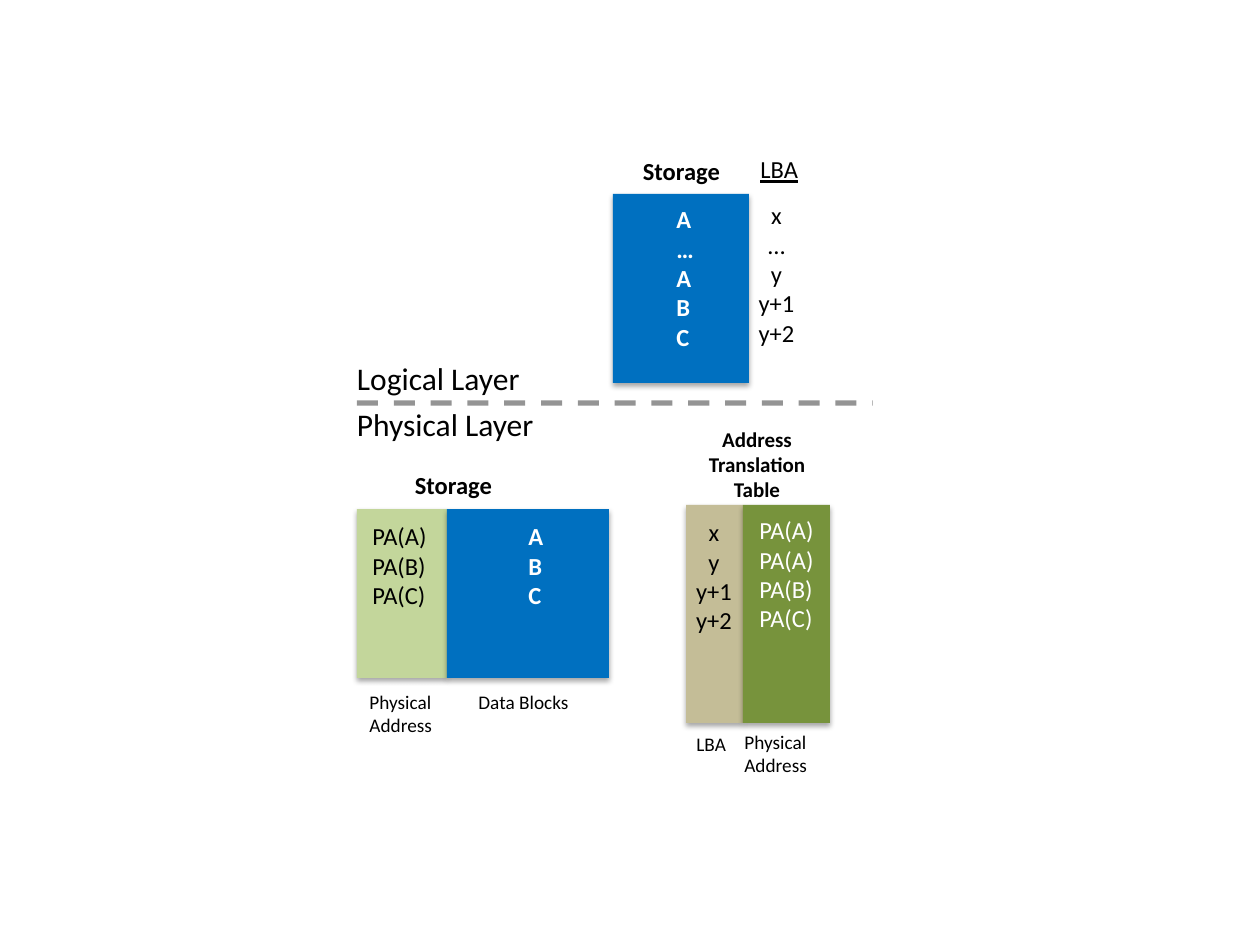
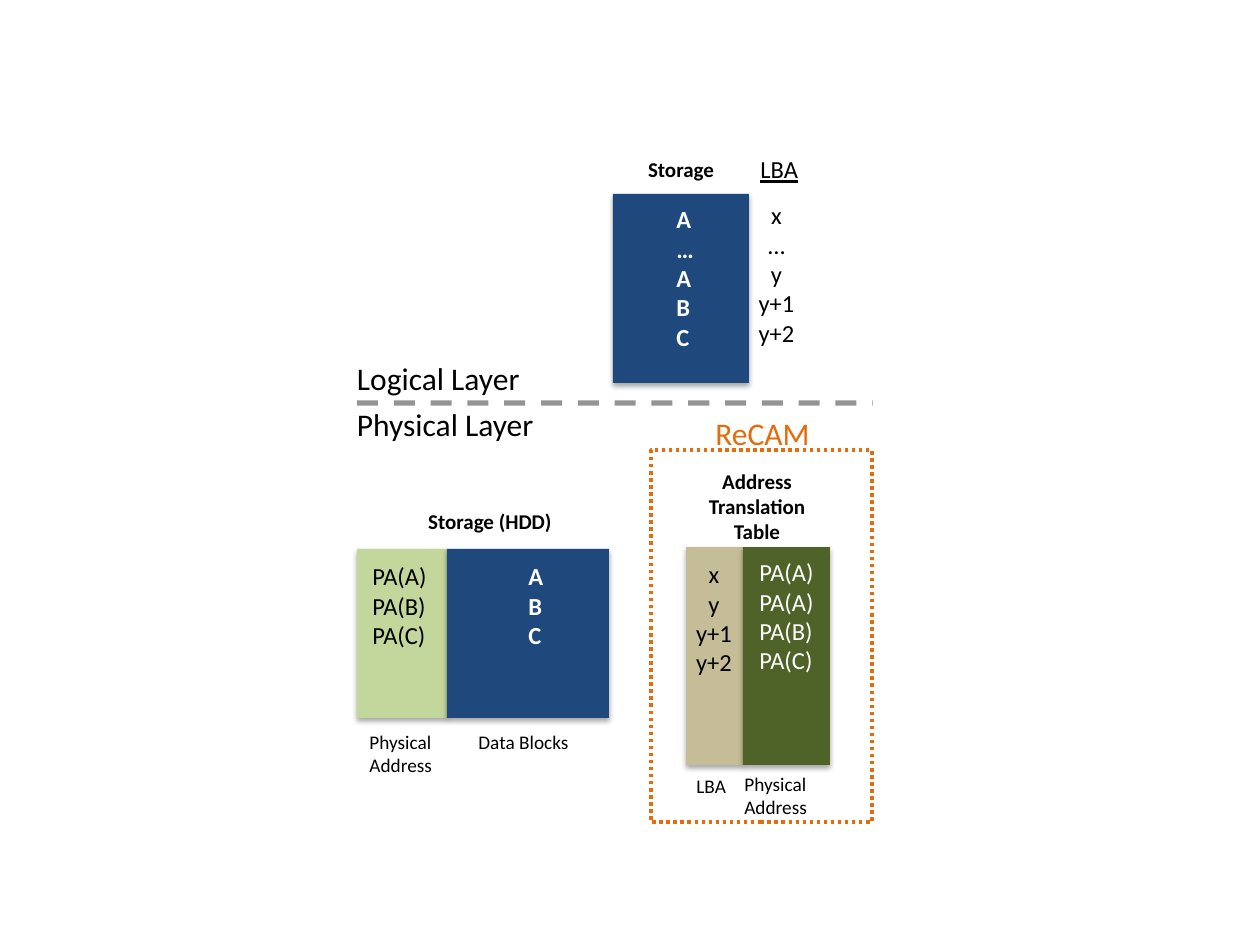
from collections import namedtuple
from lxml import etree
from pptx import Presentation
from pptx.dml.color import RGBColor
from pptx.enum.dml import MSO_LINE_DASH_STYLE as Dash
from pptx.enum.shapes import MSO_CONNECTOR as Connector, MSO_SHAPE as Preset
from pptx.enum.text import MSO_AUTO_SIZE as AutoSize, PP_ALIGN as Align
from pptx.oxml.ns import qn
from pptx.util import Pt

SCALE = 914400 / 126
FONT = "Calibri"
BLACK = RGBColor(0x00, 0x00, 0x00)
WHITE = RGBColor(0xFF, 0xFF, 0xFF)
BLUE = RGBColor(0x00, 0x70, 0xC0)
NAVY = RGBColor(0x1F, 0x49, 0x7D)
LIGHT_GREEN = RGBColor(0xC3, 0xD6, 0x9B)
GREEN = RGBColor(0x77, 0x93, 0x3C)
DARK_GREEN = RGBColor(0x4F, 0x62, 0x28)
TAN = RGBColor(0xC4, 0xBD, 0x97)
ORANGE = RGBColor(0xE4, 0x6C, 0x0A)

Box = namedtuple("Box", "left top width height")
Heading = namedtuple("Heading", "text left top width height size")


def px(length):
    return round(length * SCALE)


def add_text(slide, left, top, width, height, lines, size, color=BLACK, bold=False,
             underline=False, align=Align.LEFT, wrap=False, left_inset=None):
    shape = slide.shapes.add_textbox(*map(px, (left, top, width, height)))
    text_frame = shape.text_frame
    text_frame.word_wrap = wrap
    text_frame.auto_size = AutoSize.SHAPE_TO_FIT_TEXT
    if left_inset is not None:
        text_frame.margin_left = px(left_inset)
    text_frame.text = "\n".join(lines)
    for paragraph in text_frame.paragraphs:
        paragraph.alignment = align
        for run in paragraph.runs:
            font = run.font
            font.name, font.size, font.bold = FONT, Pt(size), bold
            font.underline = underline
            font.color.rgb = color


def add_heading(slide, box, heading):
    add_text(slide, box.left + heading.left, box.top + heading.top, heading.width,
             heading.height, heading.text.split("\n"), heading.size, bold=True,
             align=Align.CENTER)


def add_address_caption(slide, left, top):
    add_text(slide, left, top, 100, 59, ["Physical", "Address"], 11, wrap=True)


def add_block(slide, left, top, width, height, color):
    shape = slide.shapes.add_shape(Preset.RECTANGLE, *map(px, (left, top, width, height)))
    shape.shadow.inherit = False
    shape.fill.solid()
    shape.fill.fore_color.rgb = color
    shape.line.fill.background()
    effects = shape._element.spPr.find(qn("a:effectLst"))
    shadow = etree.SubElement(effects, qn("a:outerShdw"), blurRad="40000", dist="23000",
                              dir="5400000", rotWithShape="0")
    shadow_color = etree.SubElement(shadow, qn("a:srgbClr"), val=str(BLACK))
    etree.SubElement(shadow_color, qn("a:alpha"), val="35000")


def add_layer_divider(slide, box):
    line = slide.shapes.add_connector(
        Connector.STRAIGHT, px(box.left), px(box.top), px(box.left + box.width), px(box.top))
    line.line.width = Pt(3)
    line.line.dash_style = Dash.DASH
    line.line.color.rgb = BLACK
    properties = line._element.spPr
    etree.SubElement(properties.find(".//" + qn("a:srgbClr")), qn("a:alpha"), val="42000")
    etree.SubElement(properties, qn("a:effectLst"))
    add_text(slide, box.left, box.top - 50, 200, 50, ["Logical Layer"], 18,
             wrap=True, left_inset=0)
    add_text(slide, box.left, box.top - 4, 212, 50, ["Physical Layer"], 18,
             wrap=True, left_inset=0)


def add_logical_storage(slide, box, color, heading):
    left, top = box.left, box.top
    add_block(slide, *box, color)
    add_heading(slide, box, heading)
    add_text(slide, left + 51, top + 4, 36, 161, ["A", "…", "A", "B", "C"], 14, WHITE,
             bold=True, wrap=True)
    add_text(slide, left + 135, top - 46, 76, 43, ["LBA"], 14, underline=True, wrap=True)
    add_text(slide, left + 123, top, 81, 161, ["x", "…", "y", "y+1", "y+2"], 14,
             align=Align.CENTER, wrap=True)


def add_physical_storage(slide, box, color, heading):
    left, top, width, height = box
    address_width = 90
    add_block(slide, left, top, address_width, height, LIGHT_GREEN)
    add_block(slide, left + address_width, top, width - address_width, height, color)
    add_heading(slide, box, heading)
    add_text(slide, left + 3, top + 6, 93, 102, ["PA(A)", "PA(B)", "PA(C)"], 14, wrap=True)
    add_text(slide, left + 159, top + 6, 50, 102, ["A", "B", "C"], 14, WHITE,
             bold=True, wrap=True)
    caption_top = top + height + 6
    add_address_caption(slide, left, caption_top)
    add_text(slide, left + 109, caption_top, 130, 37, ["Data Blocks"], 11, wrap=True)


def add_translation_table(slide, box, color):
    left, top, width, height = box
    lba_width = 57
    add_block(slide, left, top, lba_width, height, TAN)
    add_block(slide, left + lba_width, top, width - lba_width, height, color)
    add_heading(slide, box, Heading("Address\nTranslation\nTable", 4, -85, 134, 89, 12))
    add_text(slide, left - 8, top + 6, 72, 131, ["x", "y", "y+1", "y+2"], 14,
             align=Align.CENTER, wrap=True)
    add_text(slide, left + 61, top + 4, 93, 131, ["PA(A)", "PA(A)", "PA(B)", "PA(C)"],
             14, WHITE, wrap=True)
    add_text(slide, left - 2, top + height + 3, 65, 37, ["LBA"], 11, wrap=True)
    add_address_caption(slide, left + 46, top + height + 1)


def add_recam_frame(slide, box):
    frame = slide.shapes.add_shape(Preset.RECTANGLE, *map(px, box))
    frame.shadow.inherit = False
    frame.fill.background()
    frame.line.color.rgb = ORANGE
    frame.line.width = Pt(2)
    frame.line.dash_style = Dash.ROUND_DOT
    add_text(slide, box.left + 52, box.top - 42, 140, 50, ["ReCAM"], 18, ORANGE, wrap=True)


def add_layers_slide(presentation, data_color, table_color, logical_heading,
                     physical_heading, storage_top, table_top):
    slide = presentation.slides.add_slide(presentation.slide_layouts[6])
    add_layer_divider(slide, Box(357, 403, 516, 0))
    add_logical_storage(slide, Box(613, 194, 136, 189), data_color, logical_heading)
    add_physical_storage(slide, Box(357, storage_top, 252, 169), data_color,
                         physical_heading)
    add_translation_table(slide, Box(686, table_top, 144, 218), table_color)
    return slide


def main():
    presentation = Presentation()
    presentation.slide_width, presentation.slide_height = px(1260), px(945)
    add_layers_slide(presentation, BLUE, GREEN,
                     Heading("Storage", 17, -44, 103, 43, 14),
                     Heading("Storage", 45, -45, 103, 43, 14), 509, 505)
    recam_slide = add_layers_slide(presentation, NAVY, DARK_GREEN,
                                   Heading("Storage", 22, -44, 92, 38, 12),
                                   Heading("Storage (HDD)", 58, -47, 150, 38, 12), 549, 547)
    add_recam_frame(recam_slide, Box(651, 450, 221, 372))
    presentation.save("out.pptx")


if __name__ == "__main__":
    main()
